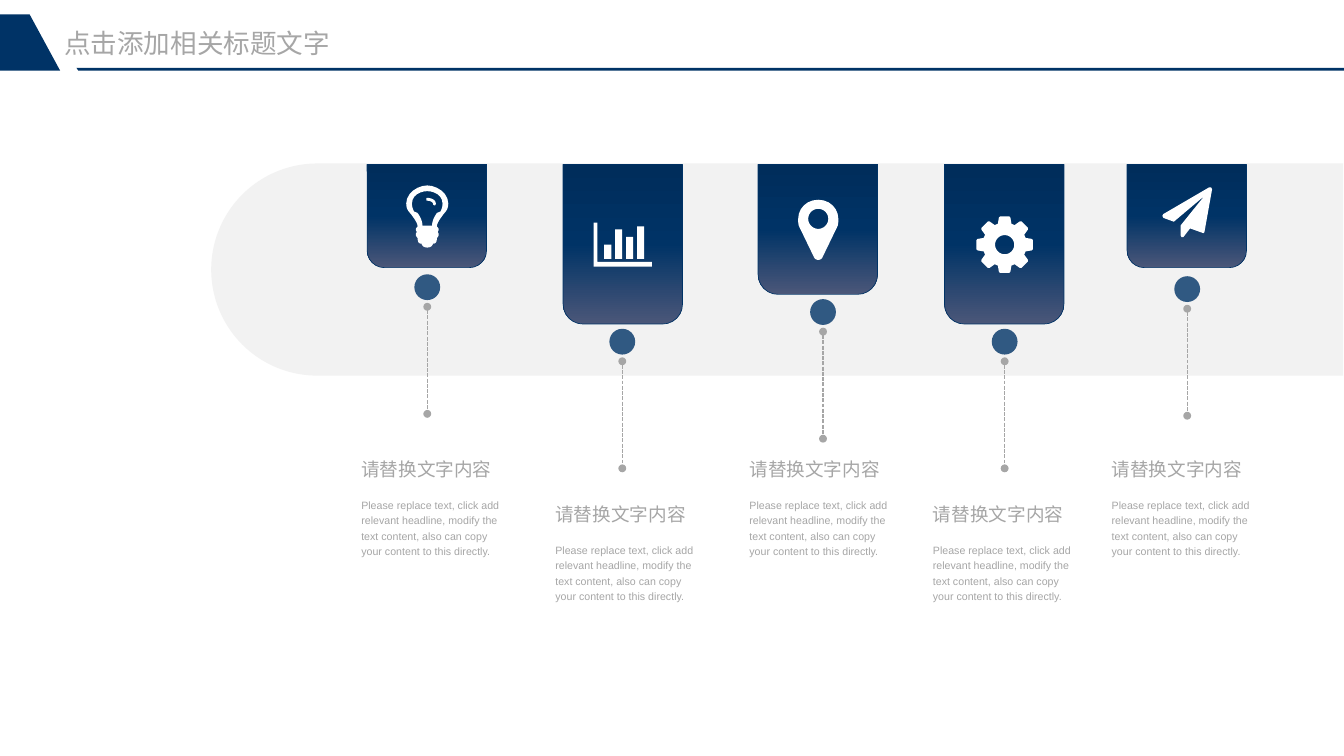
import copy
import math

from lxml import etree
from pptx import Presentation
from pptx.dml.color import RGBColor
from pptx.enum.dml import MSO_LINE
from pptx.enum.shapes import MSO_CONNECTOR, MSO_SHAPE
from pptx.enum.text import MSO_ANCHOR, MSO_AUTO_SIZE, PP_ALIGN
from pptx.oxml.ns import qn
from pptx.util import Inches, Pt

ROUND_TOP = MSO_SHAPE.ROUND_2_SAME_RECTANGLE
OVAL = MSO_SHAPE.OVAL
STRAIGHT = MSO_CONNECTOR.STRAIGHT
DASH = MSO_LINE.SQUARE_DOT

COLORS = {"navy": "003366", "deep": "002D5B", "slate": "4B5779",
          "band": "F2F2F2", "grey": "A6A6A6", "white": "FFFFFF"}
FONT = "Arial"
HEADING = "请替换文字内容"
BODY = ("Please replace text, click add relevant headline, modify the text "
        "content, also can copy your content to this directly.")

CARD_TOP, CARD_W = 1.72, 1.25
DOT, LINE_GAP, LINE_LEN = 0.27, 0.34, 1.12
# card left, card height, dot centre, dot top, text left, text top
COLUMNS = [
    (3.84, 1.08, 4.47, 2.87, 3.78, 4.76),
    (5.89, 1.67, 6.51, 3.44, 5.81, 5.23),
    (7.93, 1.36, 8.61, 3.13, 7.84, 4.76),
    (9.88, 1.67, 10.51, 3.44, 9.76, 5.23),
    (11.79, 1.08, 12.42, 2.89, 11.63, 4.76),
]


def rgb(name):
    return RGBColor.from_string(COLORS[name])


def fill_plain(sp, color):
    sp.shadow.inherit = False
    sp.fill.solid()
    sp.fill.fore_color.rgb = rgb(color)
    sp.line.fill.background()


def add_filled(slide, kind, left, top, width, height, color):
    sp = slide.shapes.add_shape(kind, Inches(left), Inches(top),
                                Inches(width), Inches(height))
    fill_plain(sp, color)
    return sp


def add_outline(slide, x, y, contours, color):
    """Draw closed contours, given as offsets from (x, y), as one shape."""
    builder = None
    for contour in contours:
        pts = [(Inches(x + dx), Inches(y + dy)) for dx, dy in contour]
        if builder is None:
            builder = slide.shapes.build_freeform(*pts[0])
        else:
            builder.move_to(*pts[0])
        builder.add_line_segments(pts[1:], close=True)
    fill_plain(builder.convert_to_shape(), color)


def trace(start, *steps, parts=6):
    """Points along lines (x, y) and cubic curves (x1, y1, x2, y2, x, y)."""
    pts = [start]
    for step in steps:
        if len(step) == 2:
            pts.append(step)
            continue
        p0, p1, p2, p3 = pts[-1], step[:2], step[2:4], step[4:]
        for i in range(1, parts + 1):
            t = i / parts
            u = 1 - t
            pts.append(tuple(u**3 * a + 3 * u * u * t * b + 3 * u * t * t * c + t**3 * d
                             for a, b, c, d in zip(p0, p1, p2, p3)))
    return pts


def mirrored(half):
    return half + [(-x, y) for x, y in reversed(half)]


def polar(radius, degrees, cy=0):
    a = math.radians(degrees)
    return radius * math.sin(a), cy - radius * math.cos(a)


def circle(radius, cy=0):
    return [polar(radius, a, cy) for a in range(0, 360, 10)]


def box(left, top, right, bottom):
    return [(left, top), (right, top), (right, bottom), (left, bottom)]


def add_bulb(slide):
    glass = trace((0, 0), (.1, 0, .22, .08, .22, .19), (.22, .24, .2, .27, .17, .3),
                  (.15, .33, .1, .39, .1, .43), (.11, .44, .12, .45, .12, .46),
                  (.12, .47, .11, .48, .11, .49), (.11, .49, .12, .5, .12, .51),
                  (.12, .53, .11, .54, .1, .55), (.1, .56),
                  (.1, .6, .08, .61, .06, .61), (.05, .64, .03, .65, 0, .65))
    hollow = trace((0, .06), (.07, .06, .16, .1, .16, .19), (.16, .22, .15, .25, .14, .27),
                   (.13, .28, .11, .28, .1, .29), (.07, .33, .05, .38, .05, .42))
    glint = trace((.08, .21), (.07, .21, .06, .2, .06, .19), (.06, .17, .02, .16, 0, .16),
                  (-.01, .16, -.01, .15, -.01, .14), (-.01, .14, -.01, .13, 0, .13),
                  (.04, .13, .09, .15, .09, .19), (.09, .2, .08, .21, .08, .21))
    add_outline(slide, 4.47, 1.94, [mirrored(glass), mirrored(hollow), glint], "white")


def add_bars(slide):
    axes = [(0, 0), (.04, 0), (.04, .41), (.61, .41), (.61, .46), (0, .46)]
    bars = [box(.11 + .115 * i, top, .185 + .115 * i, .38)
            for i, top in enumerate((.23, .07, .15, .04))]
    add_outline(slide, 6.21, 2.33, [axes] + bars, "white")


def add_pin(slide):
    half = trace((0, 0), (.12, 0, .21, .09, .21, .2), (.21, .23, .21, .26, .2, .28),
                 (.05, .59), (.04, .62, .02, .63, 0, .63))
    add_outline(slide, 8.56, 2.09, [mirrored(half), circle(.105, .2)], "white")


def add_gear(slide):
    tooth = [(.23, -18), (.29, -12), (.3, -9), (.3, 9), (.29, 12), (.23, 18)]
    rim = [polar(r, 45 * i + a) for i in range(8) for r, a in tooth]
    add_outline(slide, 10.51, 2.56, [rim, circle(.1)], "white")


def add_plane(slide):
    plane = [(.52, .02), (.44, .47), (.43, .48), (.29, .43), (.22, .52), (.2, .52),
             (.19, .5), (.19, .4), (.44, .09), (.12, .36), (.01, .32), (0, .3),
             (.01, .28), (.49, 0), (.51, 0)]
    add_outline(slide, 12.16, 1.96, [plane], "white")


def add_card(slide, left, height):
    sp = add_filled(slide, ROUND_TOP, left, CARD_TOP, CARD_W, height, "navy")
    sp.rotation = 180
    sp.line.color.rgb = rgb("navy")
    sp.line.width = Pt(0.5)
    sp.fill.gradient()
    sp.fill.gradient_angle = 270
    stops = sp._element.spPr.find(".//" + qn("a:gsLst"))
    stops.append(copy.deepcopy(stops[-1]))
    for stop, position, color in zip(sp.fill.gradient_stops, (0, 0.5, 1),
                                     ("slate", "navy", "deep")):
        stop.position = position
        stop.color.rgb = rgb(color)


def add_pointer(slide, x, top):
    """Translucent dot with a dashed line below it."""
    dot = add_filled(slide, OVAL, x - DOT / 2, top, DOT, DOT, "navy")
    clr = dot._element.spPr.find(qn("a:solidFill"))[0]
    etree.SubElement(clr, qn("a:alpha"), val="80000")
    start = top + LINE_GAP
    line = slide.shapes.add_connector(STRAIGHT, Inches(x), Inches(start),
                                      Inches(x), Inches(start + LINE_LEN))
    line.line.color.rgb = rgb("grey")
    line.line.width = Pt(1)
    line.line.dash_style = DASH
    ln = line.line._get_or_add_ln()
    for end in ("a:headEnd", "a:tailEnd"):
        etree.SubElement(ln, qn(end), type="oval")
    etree.SubElement(line._element.spPr, qn("a:effectLst"))


def write(sp, text, size, anchor, spacing=1.0):
    tf = sp.text_frame
    tf.word_wrap = True
    tf.auto_size = MSO_AUTO_SIZE.SHAPE_TO_FIT_TEXT
    tf.vertical_anchor = anchor
    tf.margin_left = tf.margin_right = tf.margin_top = tf.margin_bottom = 0
    p = tf.paragraphs[0]
    p.alignment = PP_ALIGN.LEFT
    p.line_spacing = spacing
    p.space_before = Pt(0)
    r = p.add_run()
    r.text = text
    r.font.name = FONT
    r.font.size = Pt(size)
    r.font.color.rgb = rgb("grey")


def add_text(slide, left, top, height, text, size):
    sp = slide.shapes.add_textbox(Inches(left), Inches(top), Inches(1.56), Inches(height))
    write(sp, text, size, MSO_ANCHOR.MIDDLE, 1.2)


def add_header(slide):
    add_outline(slide, 0, 0.71, [[(0.8, 0), (14.06, 0), (14.06, 0.03), (0.82, 0.03)]], "navy")
    add_outline(slide, 0, 0.15, [[(0, 0), (0.31, 0), (0.63, 0.59), (0, 0.59)]], "navy")
    title = slide.shapes.title
    title.left, title.top = Inches(0.67), Inches(0.28)
    title.width, title.height = Inches(3.35), Inches(0.34)
    write(title, "点击添加相关标题文字", 20, MSO_ANCHOR.TOP)


def main():
    prs = Presentation()
    prs.slide_width, prs.slide_height = Inches(14.06), Inches(7.91)
    slide = prs.slides.add_slide(prs.slide_layouts[5])
    band = add_filled(slide, ROUND_TOP, 7.02, -3.1, 2.22, 11.84, "band")
    band.rotation = 270
    band.adjustments[0] = 0.5
    for card_left, card_h, dot_x, dot_top, text_left, text_top in COLUMNS:
        add_card(slide, card_left, card_h)
        add_pointer(slide, dot_x, dot_top)
        add_text(slide, text_left, text_top, 0.26, HEADING, 14)
        add_text(slide, text_left, text_top + 0.44, 0.63, BODY, 8)
    for add_icon in (add_bulb, add_bars, add_pin, add_gear, add_plane):
        add_icon(slide)
    add_header(slide)
    prs.save("out.pptx")


if __name__ == "__main__":
    main()
